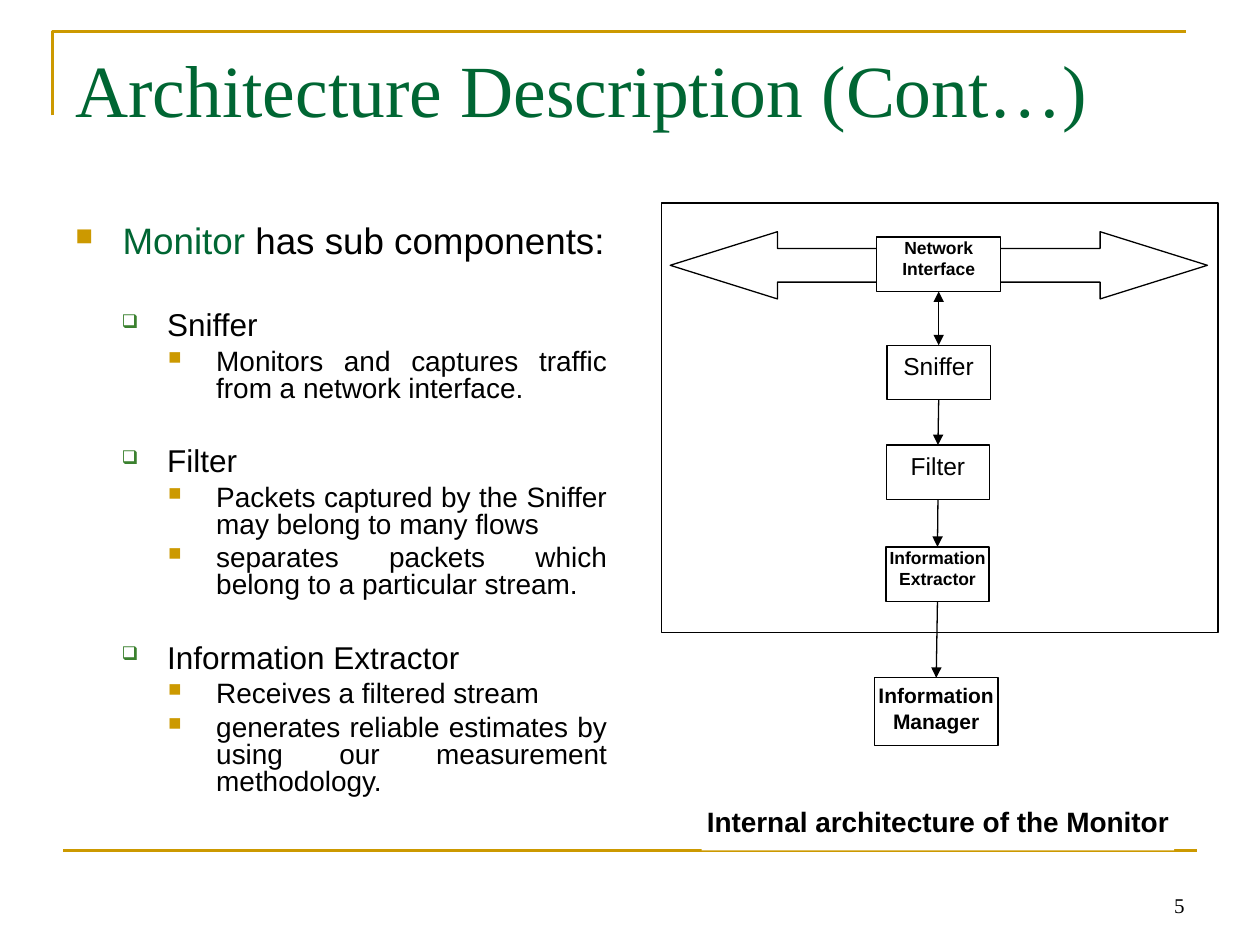
from dataclasses import dataclass

from lxml.etree import SubElement
from pptx import Presentation
from pptx.dml.color import RGBColor
from pptx.enum.shapes import MSO_CONNECTOR, MSO_SHAPE
from pptx.enum.text import MSO_ANCHOR, PP_ALIGN
from pptx.oxml.ns import qn
from pptx.util import Pt

COLORS = {
    "gold": "CC9900",
    "green": "006633",
    "leaf": "3B812F",
    "black": "000000",
    "white": "FFFFFF",
}
TOP, BOTTOM = 0, 2


@dataclass(frozen=True)
class Level:
    size: float
    left: float
    hanging: float
    before: float
    bullet: str
    bullet_color: str
    bullet_percent: int
    align: PP_ALIGN = PP_ALIGN.LEFT


@dataclass(frozen=True)
class Item:
    level: Level
    words: str
    gap: float = 0
    lead: str = ""


@dataclass(frozen=True)
class Node:
    words: str
    center: float
    top: float
    width: float
    height: float
    size: float
    bold: bool
    inset: float = 0


HEADING = Level(21, 27, 27, 0, "■", "gold", 65)
PART = Level(18, 52.5, 26, 4.5, "❑", "leaf", 60)
DETAIL = Level(16, 80.5, 27.5, 4, "■", "gold", 65, PP_ALIGN.JUSTIFY)

ITEMS = [
    Item(HEADING, " has sub components:", lead="Monitor"),
    Item(PART, "Sniffer", gap=24.5),
    Item(DETAIL, "Monitors and captures traffic from a network interface."),
    Item(PART, "Filter", gap=21),
    Item(DETAIL, "Packets captured by the Sniffer may belong to many flows"),
    Item(DETAIL, "separates packets which belong to a particular stream."),
    Item(PART, "Information Extractor", gap=21),
    Item(DETAIL, "Receives a filtered stream"),
    Item(DETAIL, "generates reliable estimates by using our measurement methodology."),
]

MANAGER = Node("Information\nManager", 535, 387.3, 70.8, 38.9, 12, True, 3)
INNER_NODES = [
    Node("Network\nInterface", 536.4, 135.4, 70.8, 31.2, 10, True),
    Node("Sniffer", 536.4, 197.3, 59, 31.2, 14, False, 3.6),
    Node("Filter", 536, 254.3, 59, 31.2, 14, False, 3.6),
    Node("Information\nExtractor", 535.7, 312.5, 59, 31.2, 10, True),
]
CAPTION = Node("Internal architecture of the Monitor", 536, 460, 270, 26, 16, True)


def rgb(name: str) -> RGBColor:
    return RGBColor.from_string(COLORS[name])


def style_font(font, size: float, color: str, face: str = "Arial", bold: bool = False) -> None:
    font.name, font.size, font.bold = face, Pt(size), bold
    font.color.rgb = rgb(color)


def style_outline(shape, color: str, width: float) -> None:
    shape.line.color.rgb = rgb(color)
    shape.line.width = Pt(width)


def add_label(slide, words, left, top, width, height, size, color, align, anchor) -> None:
    label = slide.shapes.add_textbox(Pt(left), Pt(top), Pt(width), Pt(height))
    frame = label.text_frame
    frame.word_wrap = True
    frame.vertical_anchor = anchor
    frame.text = words
    frame.paragraphs[0].alignment = align
    style_font(frame.paragraphs[0].runs[0].font, size, color, "Times New Roman")


def add_outline(slide, points, closed: bool, color: str, width: float):
    (start_x, start_y), *rest = [(Pt(x), Pt(y)) for x, y in points]
    builder = slide.shapes.build_freeform(start_x, start_y)
    builder.add_line_segments(rest, close=closed)
    outline = builder.convert_to_shape()
    outline.shadow.inherit = False
    style_outline(outline, color, width)
    if closed:
        outline.fill.solid()
        outline.fill.fore_color.rgb = rgb("white")
    else:
        outline.fill.background()
    return outline


def add_box(slide, node: Node, outlined: bool = True):
    box = slide.shapes.add_shape(
        MSO_SHAPE.RECTANGLE, Pt(node.center - node.width / 2), Pt(node.top),
        Pt(node.width), Pt(node.height))
    box.shadow.inherit = False
    box.fill.solid()
    box.fill.fore_color.rgb = rgb("white")
    if outlined:
        style_outline(box, "black", 0.75)
    else:
        box.line.fill.background()
    frame = box.text_frame
    frame.margin_left = frame.margin_right = frame.margin_bottom = 0
    frame.margin_top = Pt(node.inset)
    frame.vertical_anchor = MSO_ANCHOR.TOP
    if node.words:
        frame.text = node.words
        for paragraph in frame.paragraphs:
            paragraph.alignment = PP_ALIGN.CENTER
            style_font(paragraph.runs[0].font, node.size, "black", bold=node.bold)
    return box


def add_line(slide, start, end, color: str, width: float):
    line = slide.shapes.add_connector(
        MSO_CONNECTOR.STRAIGHT, *(Pt(value) for value in (*start, *end)))
    style_outline(line, color, width)
    SubElement(line._element.spPr, qn("a:effectLst"))
    return line


def link(slide, upper, lower, both_ways: bool) -> None:
    arrow = add_line(slide, (0, 0), (0, 0), "black", 0.75)
    arrow.begin_connect(upper, BOTTOM)
    arrow.end_connect(lower, TOP)
    outline = arrow.line._get_or_add_ln()
    for end in ("a:headEnd", "a:tailEnd") if both_ways else ("a:tailEnd",):
        SubElement(outline, qn(end), type="triangle")


def add_bullet(paragraph, level: Level) -> None:
    properties = paragraph._p.get_or_add_pPr()
    properties.set("marL", str(Pt(level.left)))
    properties.set("indent", str(-Pt(level.hanging)))
    tint = SubElement(properties, qn("a:buClr"))
    SubElement(tint, qn("a:srgbClr"), val=COLORS[level.bullet_color])
    SubElement(properties, qn("a:buSzPct"), val=str(level.bullet_percent * 1000))
    SubElement(properties, qn("a:buChar"), char=level.bullet)


def add_outline_text(slide) -> None:
    body = slide.shapes.add_textbox(Pt(36), Pt(126), Pt(318), Pt(356.4))
    frame = body.text_frame
    frame.word_wrap = True
    for index, item in enumerate(ITEMS):
        paragraph = frame.add_paragraph() if index else frame.paragraphs[0]
        add_bullet(paragraph, item.level)
        paragraph.alignment = item.level.align
        paragraph.line_spacing = 0.8
        paragraph.space_before = Pt(item.level.before + item.gap)
        for words, color in ((item.lead, "green"), (item.words, "black")):
            if words:
                run = paragraph.add_run()
                run.text = words
                style_font(run.font, item.level.size, color)


def add_diagram(slide) -> None:
    manager = add_box(slide, MANAGER)
    add_box(slide, Node("", 537, 116, 318, 245.5, 10, False))
    left, right, middle, head, half_head, half_shaft = 383, 690, 151.6, 61.3, 19.2, 9.6
    upper_edge = [
        (left, middle), (left + head, middle - half_head), (left + head, middle - half_shaft),
        (right - head, middle - half_shaft), (right - head, middle - half_head), (right, middle)]
    lower_edge = [(x, 2 * middle - y) for x, y in upper_edge[-2:0:-1]]
    add_outline(slide, upper_edge + lower_edge, True, "black", 0.75)
    chain = [add_box(slide, node) for node in INNER_NODES] + [manager]
    for index, (upper, lower) in enumerate(zip(chain, chain[1:])):
        link(slide, upper, lower, both_ways=index == 0)
    add_box(slide, CAPTION, outlined=False)


def main() -> None:
    deck = Presentation()
    deck.slide_width, deck.slide_height = Pt(720), Pt(540)
    slide = deck.slides.add_slide(deck.slide_layouts[6])
    add_outline(slide, [(30, 66), (30, 18), (678, 18)], False, "gold", 1.5)
    add_line(slide, (36, 486), (684, 486), "gold", 1.5)
    add_label(slide, "Architecture Description (Cont…)", 36, 21.6, 648, 90, 42,
              "green", PP_ALIGN.LEFT, MSO_ANCHOR.TOP)
    add_outline_text(slide)
    add_diagram(slide)
    add_label(slide, "5", 516, 491.8, 168, 36, 12, "black", PP_ALIGN.RIGHT, MSO_ANCHOR.BOTTOM)
    deck.save("out.pptx")


if __name__ == "__main__":
    main()
